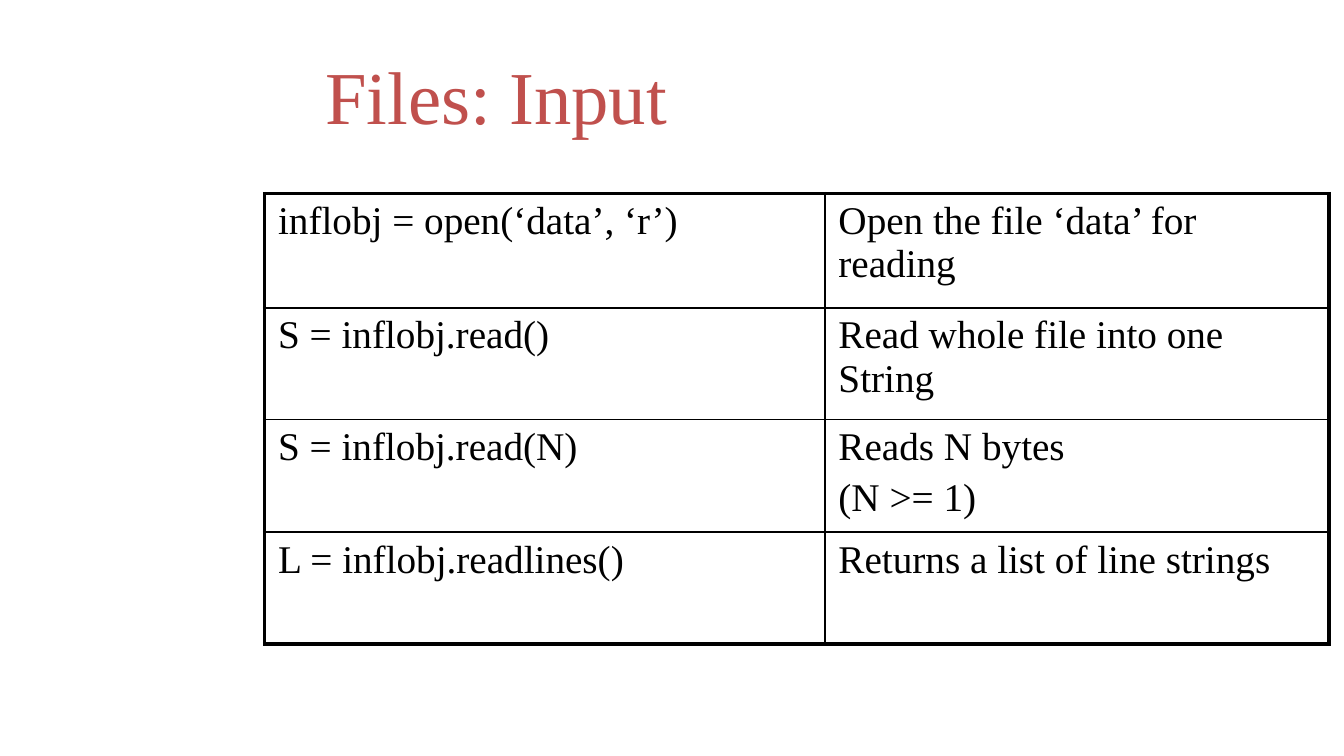
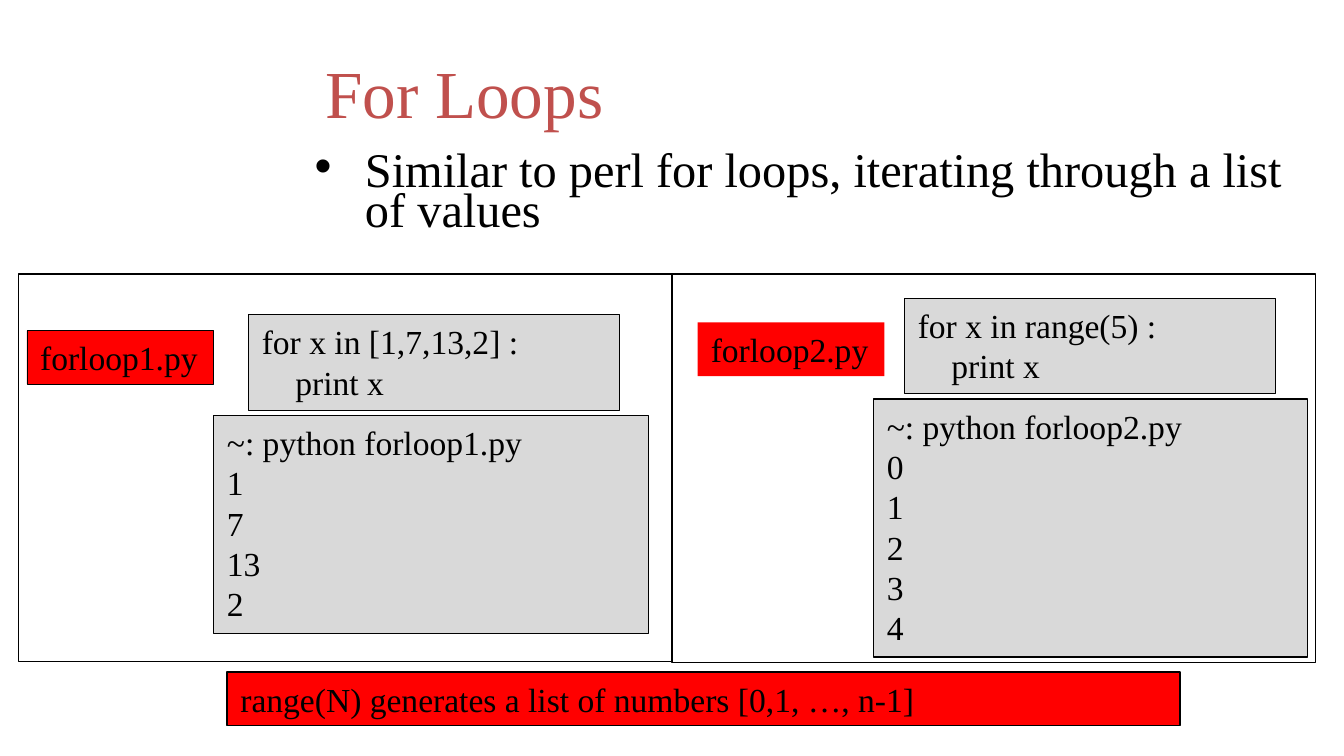
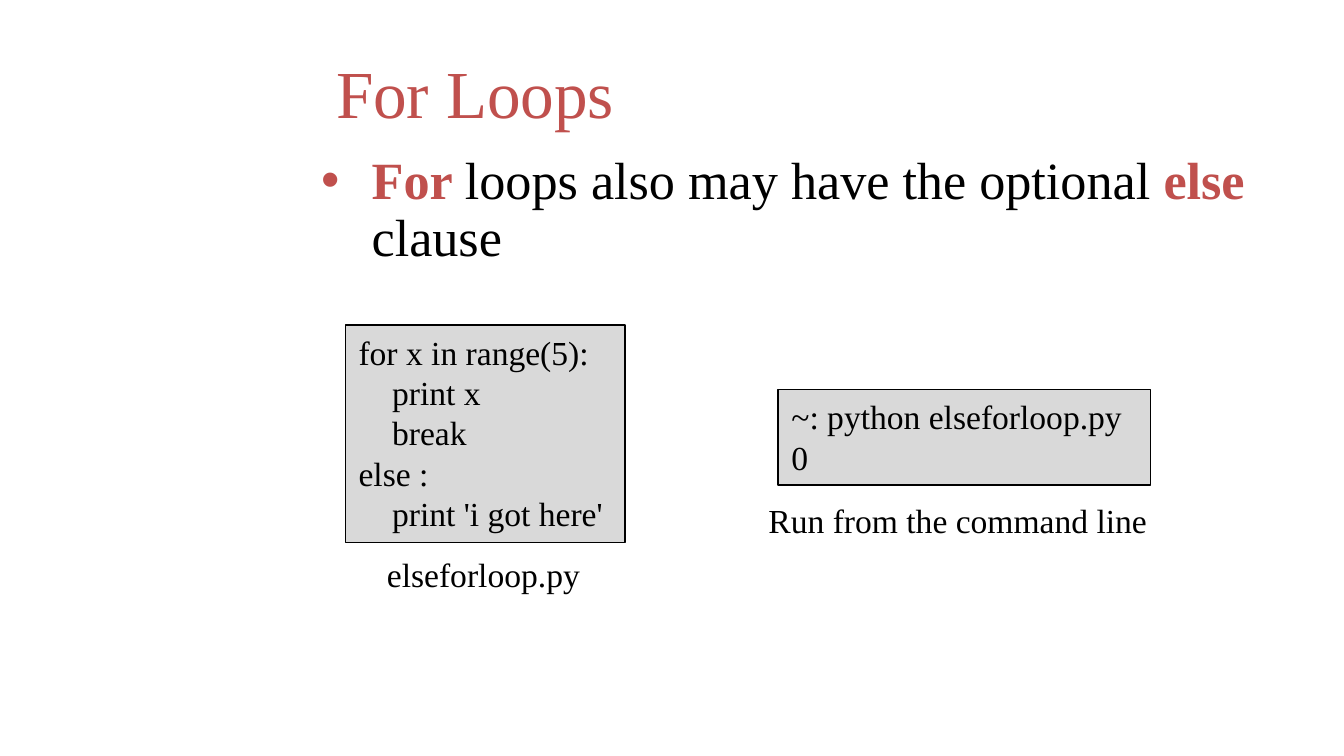
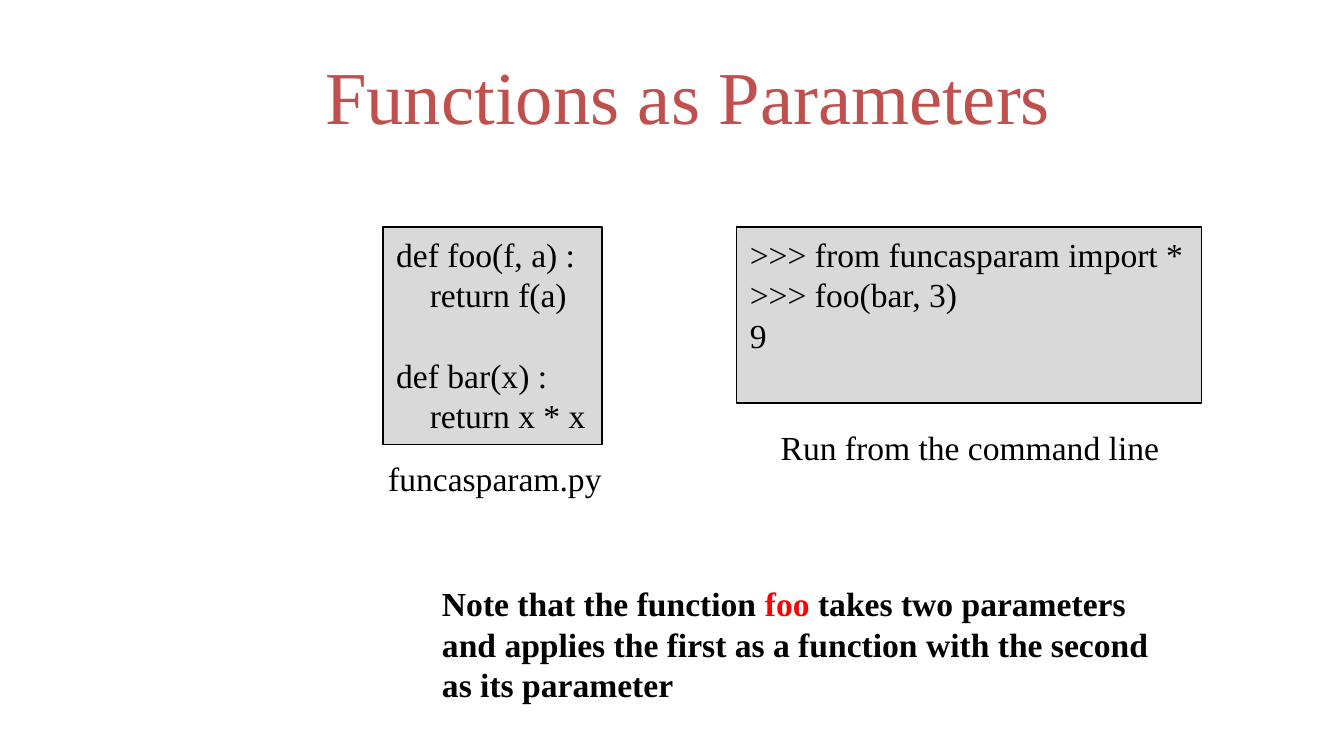
import pptx
import pptx.util
import pptx.dml.color
import pptx.enum.shapes
import pptx.enum.text
import pptx.oxml
import pptx.oxml.ns

Pt = pptx.util.Pt
FONT = "Times New Roman"
CODE_SIZE = 18
COLOURS = {
    "title": "C0504D",
    "text": "000000",
    "line": "000000",
    "code": "D9D9D9",
    "red": "FF0000",
}


def add_spans(para, spans, size):
    """Add (text, colour name, bold) runs to a left-aligned paragraph."""
    para.alignment = pptx.enum.text.PP_ALIGN.LEFT
    for text, colour, bold in spans:
        span = para.add_run()
        span.text = text
        span.font.name = FONT
        span.font.size = Pt(size)
        span.font.bold = bold
        span.font.color.rgb = pptx.dml.color.RGBColor.from_string(COLOURS[colour])


def add_box(page, place, lines, fill=None, line=0, wrap=True):
    """Add a rectangle with one paragraph per line; a blank code line becomes spacing."""
    box = page.shapes.add_shape(
        pptx.enum.shapes.MSO_SHAPE.RECTANGLE, *[Pt(length) for length in place])
    box.shadow.inherit = False
    if fill:
        box.fill.solid()
        box.fill.fore_color.rgb = pptx.dml.color.RGBColor.from_string(COLOURS[fill])
    else:
        box.fill.background()
    if line:
        box.line.width = Pt(line)
        box.line.color.rgb = pptx.dml.color.RGBColor.from_string(COLOURS["line"])
    else:
        box.line.fill.background()
    frame = box.text_frame
    frame.word_wrap = wrap
    frame.vertical_anchor = pptx.enum.text.MSO_ANCHOR.TOP
    para, gap = frame.paragraphs[0], 0
    for number, text in enumerate(lines):
        if text == "":
            gap = 1.2 * CODE_SIZE
            continue
        if number:
            para = frame.add_paragraph()
            para.space_before = Pt(gap)
        gap = 0
        spans = [(text, "text", False)] if isinstance(text, str) else text
        add_spans(para, spans, CODE_SIZE)


deck = pptx.Presentation()
deck.slide_width, deck.slide_height = Pt(720), Pt(405)

# Pages and titles
TITLE_ONLY, TITLE_AND_BODY = 5, 1
large_title, small_title = (167, 16.6, 517, 67.7), (167, 23.8, 499, 51.1)
titles = [
    ("Files: Input", TITLE_ONLY, large_title, 40),
    ("For Loops", TITLE_AND_BODY, small_title, 36),
    ("For Loops", TITLE_AND_BODY, (172.8, 23.8, 493.2, 51.1), 36),
    ("Functions as Parameters", TITLE_ONLY, large_title, 40),
]
pages = []
for text, layout, place, size in titles:
    page = deck.slides.add_slide(deck.slide_layouts[layout])
    title = page.shapes.title
    title.left, title.top, title.width, title.height = [Pt(length) for length in place]
    title.text_frame.auto_size = pptx.enum.text.MSO_AUTO_SIZE.NONE
    title.text_frame.vertical_anchor = pptx.enum.text.MSO_ANCHOR.MIDDLE
    add_spans(title.text_frame.paragraphs[0], [(text, "title", False)], size)
    pages.append(page)
files_page, loops_page, else_page, functions_page = pages

# Bulleted bodies of the two loop pages
bodies = [
    (loops_page, (161.3, 79.2, 544.3, 55.4), 25.9, 0.7,
     [("Similar to perl for loops, iterating through a list of values", "text", False)]),
    (else_page, (164.9, 79.2, 540.7, 72), 28, 0.9,
     [("For ", "title", True), ("loops also may have the optional ", "text", False),
      ("else", "title", True), (" clause", "text", False)]),
]
for page, place, size, spacing, spans in bodies:
    body = page.placeholders[1]
    body.left, body.top, body.width, body.height = [Pt(length) for length in place]
    body.text_frame.auto_size = pptx.enum.text.MSO_AUTO_SIZE.NONE
    para = body.text_frame.paragraphs[0]
    para.line_spacing = spacing
    para.space_before = Pt(0)
    properties = para._p.get_or_add_pPr()
    properties.set("marL", str(Pt(27)))
    properties.set("indent", str(Pt(-27)))
    properties.append(pptx.oxml.parse_xml(
        f'<a:buChar {pptx.oxml.ns.nsdecls("a")} char="•"/>'))
    add_spans(para, spans, size)

# Files: table of input calls
calls = [
    ("inflobj = open(‘data’, ‘r’)", "Open the file ‘data’ for reading"),
    ("S = inflobj.read()", "Read whole file into one String"),
    ("S = inflobj.read(N)", "Reads N bytes\n(N >= 1)"),
    ("L = inflobj.readlines()", "Returns a list of line strings"),
]
TABLE_SIZE = 21
OUTER, INNER = 2.25, 1
table = files_page.shapes.add_table(
    len(calls), 2, Pt(141.8), Pt(103.7), Pt(570.2), Pt(241.2)).table
table.first_row = table.horz_banding = False
for column, width in zip(table.columns, (300.2, 270)):
    column.width = Pt(width)
for row, height in zip(table.rows, (61.2, 59.8, 60.5, 59.8)):
    row.height = Pt(height)
for row_number, call in enumerate(calls):
    for column_number, text in enumerate(call):
        cell = table.cell(row_number, column_number)
        cell.margin_left = cell.margin_right = Pt(7.2)
        cell.margin_top = cell.margin_bottom = Pt(3.2)
        for number, line in enumerate(text.split("\n")):
            frame = cell.text_frame
            para = frame.add_paragraph() if number else frame.paragraphs[0]
            para.space_before = Pt(0.2 * TABLE_SIZE if number else 0)
            add_spans(para, [(line, "text", False)], TABLE_SIZE)
        outer_sides = {
            "L": column_number == 0,
            "R": column_number == 1,
            "T": row_number == 0,
            "B": row_number == len(calls) - 1,
        }
        for side, is_outer in outer_sides.items():
            width = Pt(OUTER if is_outer else INNER)
            cell._tc.get_or_add_tcPr().append(pptx.oxml.parse_xml(
                f'<a:ln{side} {pptx.oxml.ns.nsdecls("a")} w="{width}"><a:solidFill>'
                f'<a:srgbClr val="{COLOURS["line"]}"/></a:solidFill></a:ln{side}>'))
        cell.fill.background()

# For loops: list example on the left, range example on the right
add_box(loops_page, (114.5, 222.5, 232.6, 116.6),
        ["~: python forloop1.py", "1", "7", "13", "2"], "code", 0.25)
add_box(loops_page, (133.2, 168.5, 198.7, 51.1),
        ["for x in [1,7,13,2] :", "    print x"], "code", 0.25)
add_box(loops_page, (14.4, 177.1, 100.1, 28.8), ["forloop1.py"], "red", 0.25, wrap=False)
add_box(loops_page, (468, 213.8, 232.6, 138.2),
        ["~: python forloop2.py", "0", "1", "2", "3", "4"], "code", 0.75)
add_box(loops_page, (484.6, 159.8, 198.7, 51.1),
        ["for x in range(5) :", "    print x"], "code", 0.75)
add_box(loops_page, (373.7, 172.8, 100.1, 28.8), ["forloop2.py"], "red", wrap=False)
add_box(loops_page, (121.7, 360, 510.5, 28.8),
        ["range(N) generates a list of numbers [0,1, …, n-1]"], "red", 0.75)
add_box(loops_page, (10.1, 146.9, 349.9, 207.4), [], line=0.75)
add_box(loops_page, (360, 146.9, 344.9, 208.1), [], line=0.75)

# For loops with else: code, output and captions
add_box(else_page, (185, 174.2, 149.8, 116.6),
        ["for x in range(5):", "    print x", "    break", "else :",
         "    print 'i got here'"], "code", 0.75, wrap=False)
add_box(else_page, (416.9, 208.8, 199.4, 51.1),
        ["~: python elseforloop.py", "0"], "code", 0.75, wrap=False)
add_box(else_page, (200.2, 293, 120.2, 28.8), ["elseforloop.py"], wrap=False)
add_box(else_page, (404.6, 264.2, 221.8, 28.8), ["Run from the command line"], wrap=False)

# Functions as parameters: code, session, note and captions
add_box(functions_page, (205.2, 121.7, 117.4, 116.6),
        ["def foo(f, a) :", "    return f(a)", "", "def bar(x) :", "    return x * x"],
        "code", 0.75, wrap=False)
add_box(functions_page, (394.6, 121.7, 249.1, 94.3),
        [">>> from funcasparam import *", ">>> foo(bar, 3)", "9"],
        "code", 0.75, wrap=False)
add_box(functions_page, (229.7, 308.9, 401.8, 72.7),
        [[("Note that the function ", "text", True), ("foo", "red", True),
          (" takes two parameters and applies the first as a function with the second"
           " as its parameter", "text", True)]])
add_box(functions_page, (200.9, 241.9, 141.8, 28.8), ["funcasparam.py"])
add_box(functions_page, (411.1, 225.4, 221.8, 28.8), ["Run from the command line"], wrap=False)

deck.save("out.pptx")
